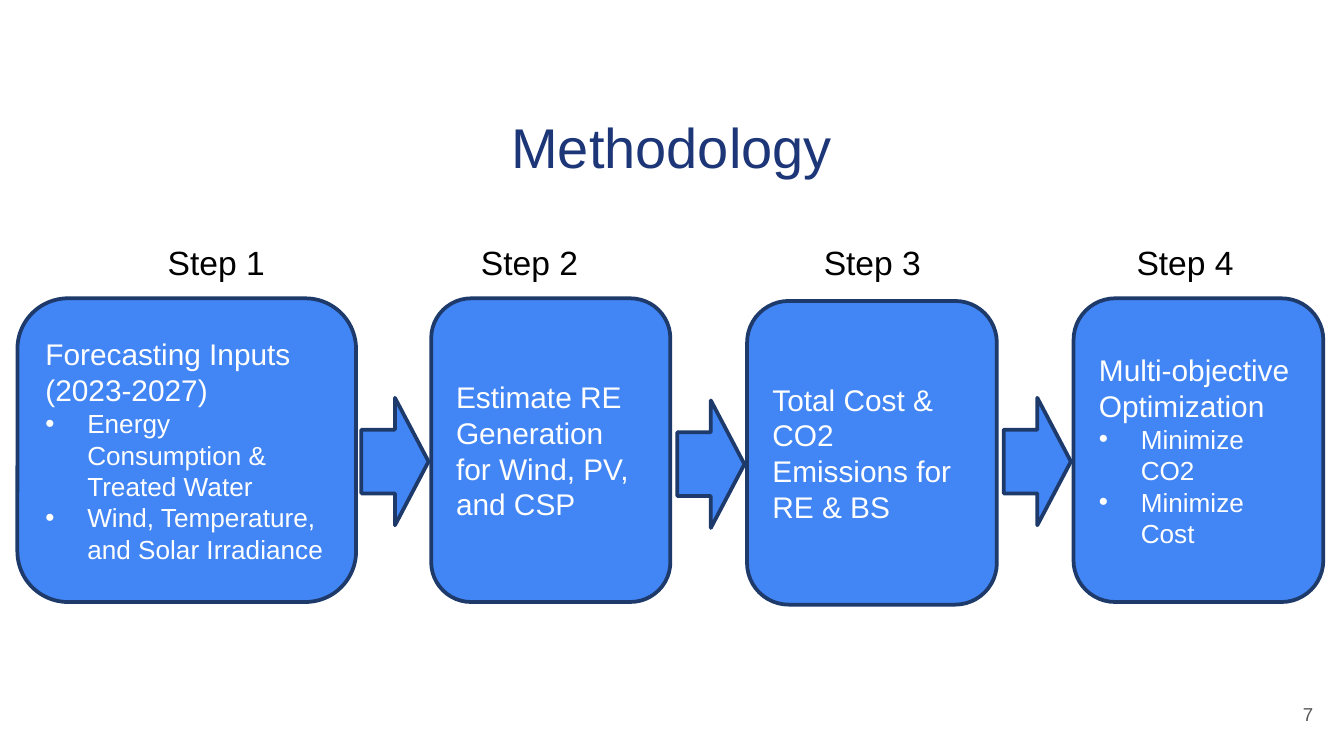
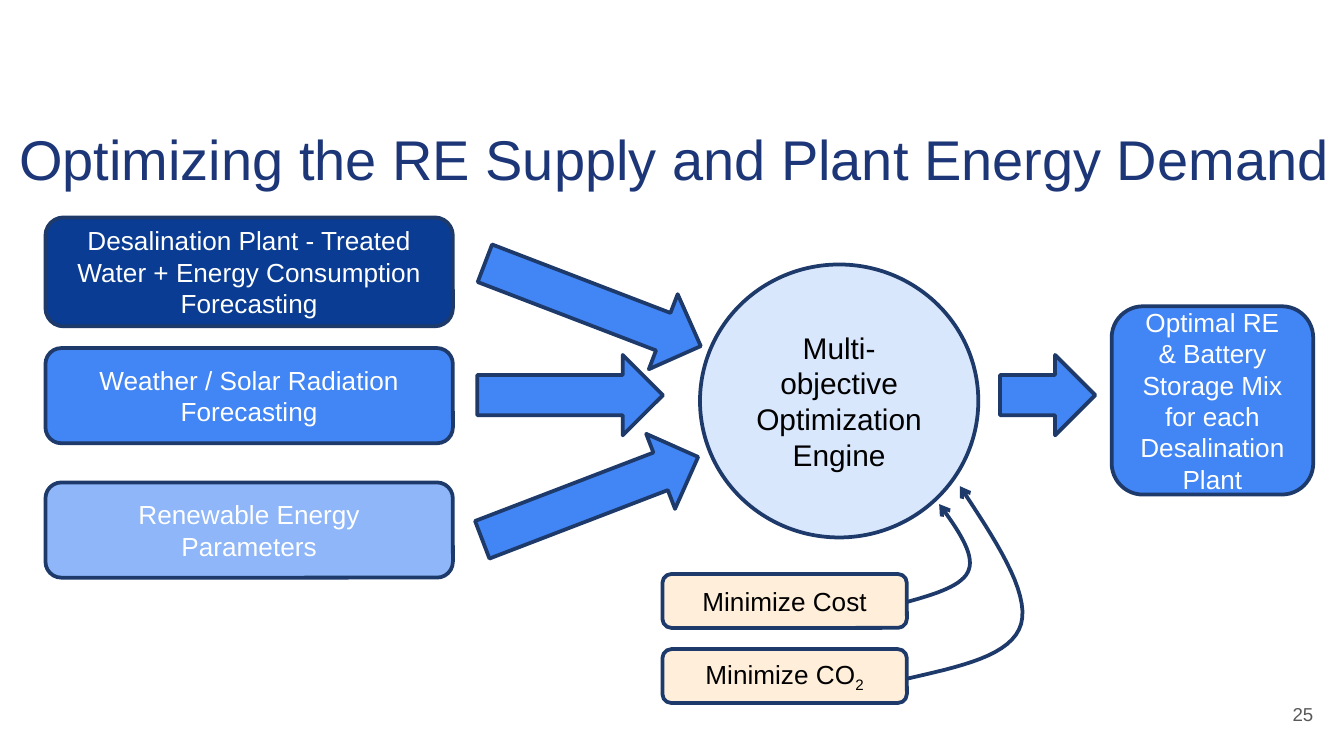
from lxml.etree import SubElement
from pptx import Presentation
from pptx.dml.color import RGBColor
from pptx.enum.shapes import MSO_SHAPE as Preset
from pptx.enum.text import MSO_ANCHOR as Anchor, PP_ALIGN as Align
from pptx.oxml.ns import qn
from pptx.util import Cm, Pt

FONT = "Arial"
BLUE, NAVY, LIGHT_BLUE = "4285F4", "093C92", "8EB6F8"
OUTLINE, TITLE_COLOR, NUMBER_COLOR = "1D3A6B", "1C3678", "595959"
PALE_BLUE, CREAM, WHITE, BLACK = "D9E7FD", "FFEED9", "FFFFFF", "000000"

# Slide 1: label, label left, box left, box top, box width, heading, bullets
STEPS = [
    ("Step 1", 2.92, 0.33, 5.64, 6.4, "Forecasting Inputs (2023-2027)",
     ["Energy Consumption & Treated Water",
      "Wind, Temperature, and Solar Irradiance"]),
    ("Step 2", 8.84, 8.15, 5.64, 4.52,
     "Estimate RE Generation for Wind, PV, and CSP", []),
    ("Step 3", 15.32, 14.12, 5.69, 4.72,
     "Total Cost & CO2 Emissions for RE & BS", []),
    ("Step 4", 21.23, 20.29, 5.64, 4.72, "Multi-objective Optimization",
     ["Minimize CO2", "Minimize Cost"]),
]
STEP_HEIGHT = 5.74

# Slide 2: lines, top, height, fill
INPUTS = [
    (["Desalination Plant - Treated Water + Energy Consumption Forecasting"],
     4.11, 2.06, NAVY),
    (["Weather / Solar Radiation", "Forecasting"], 6.58, 1.8, BLUE),
    (["Renewable Energy", "Parameters"], 9.12, 1.8, LIGHT_BLUE),
]
# left, top, width, rotation
FLOW_ARROWS = [(9.02, 5, 4.37, 21), (9.02, 6.71, 3.51, 0),
               (8.97, 8.66, 4.37, 339), (18.9, 6.71, 1.8, 0)]
# text, subscript, top, curve as a chain of cubic Bézier points
OBJECTIVES = [
    ("Minimize Cost", "", 10.85,
     [(17.14, 11.38), (17.68, 11.23), (18.21, 11.07), (18.31, 10.77),
      (18.42, 10.46), (18.08, 9.98), (17.75, 9.53)]),
    ("Minimize CO", "2", 12.27,
     [(17.14, 12.83), (18.14, 12.6), (19.13, 12.4), (19.3, 11.79),
      (19.46, 11.18), (18.8, 10.19), (18.14, 9.19)]),
]


def rgb(color):
    return RGBColor.from_string(color)


def add_bullet(paragraph, color):
    properties = paragraph._p.get_or_add_pPr()
    properties.set("marL", str(Cm(0.79)))
    properties.set("indent", str(-Cm(0.79)))
    bullet_color = SubElement(properties, qn("a:buClr"))
    SubElement(bullet_color, qn("a:srgbClr"), val=color)
    SubElement(properties, qn("a:buFont"), typeface=FONT)
    SubElement(properties, qn("a:buChar"), char="•")


def write(shape, lines, size, color, align=Align.LEFT, bullets=()):
    """Fill a shape with plain lines, then smaller bulleted ones."""
    frame = shape.text_frame
    frame.text = "\n".join([*lines, *bullets])
    for index, paragraph in enumerate(frame.paragraphs):
        bulleted = index >= len(lines)
        paragraph.alignment = align
        if bulleted:
            add_bullet(paragraph, color)
        font = paragraph.font
        font.name = FONT
        font.size = Pt(size - 2 if bulleted else size)
        font.color.rgb = rgb(color)


def style_line(shape):
    shape.shadow.inherit = False
    shape.line.color.rgb = rgb(OUTLINE)
    shape.line.width = Pt(2)


def add_preset(slide, preset, left, top, width, height, fill=BLUE):
    shape = slide.shapes.add_shape(
        preset, Cm(left), Cm(top), Cm(width), Cm(height))
    shape.fill.solid()
    shape.fill.fore_color.rgb = rgb(fill)
    style_line(shape)
    shape.text_frame.word_wrap = True
    shape.text_frame.vertical_anchor = Anchor.MIDDLE
    return shape


def add_text(slide, left, top, width, height, text, size, color,
             align=Align.LEFT, anchor=Anchor.TOP, wrap=True):
    box = slide.shapes.add_textbox(Cm(left), Cm(top), Cm(width), Cm(height))
    frame = box.text_frame
    frame.word_wrap = wrap
    frame.vertical_anchor = anchor
    if wrap:
        frame.margin_top = frame.margin_bottom = Cm(0.25)
    write(box, [text], size, color, align)


def bezier(start, control_1, control_2, end, t):
    u = 1 - t
    return tuple(
        Cm(u**3 * a + 3 * u * u * t * b + 3 * u * t * t * c + t**3 * d)
        for a, b, c, d in zip(start, control_1, control_2, end))


def add_curved_arrow(slide, points, steps=16):
    track = [bezier(*points[first:first + 4], step / steps)
             for first in range(0, len(points) - 1, 3)
             for step in range(1, steps + 1)]
    builder = slide.shapes.build_freeform(*(Cm(v) for v in points[0]))
    builder.add_line_segments(track, close=False)
    curve = builder.convert_to_shape()
    curve.fill.background()
    style_line(curve)
    SubElement(curve.line._get_or_add_ln(), qn("a:tailEnd"), type="arrow")


def add_slide(presentation, title, left, top, width, number):
    """Add a blank slide with the shared title and slide number."""
    slide = presentation.slides.add_slide(presentation.slide_layouts[6])
    add_text(slide, left, top, width, 1.6, title, 30, TITLE_COLOR,
             Align.CENTER)
    add_text(slide, 23.55, 12.95, 1.52, 1.09, number, 10, NUMBER_COLOR,
             Align.RIGHT, Anchor.MIDDLE)
    return slide


def build_methodology(presentation):
    slide = add_slide(presentation, "Methodology", 0.86, 1.88, 23.67, "7")
    for index, step in enumerate(STEPS):
        label, label_left, left, top, width, heading, bullets = step
        add_text(slide, label_left, 4.45, 2.36, 1.02, label, 18, BLACK,
                 wrap=False)
        box = add_preset(slide, Preset.ROUNDED_RECTANGLE,
                         left, top, width, STEP_HEIGHT)
        write(box, [heading], 16, WHITE, bullets=bullets)
        if index:
            add_preset(slide, Preset.RIGHT_ARROW,
                       left - 1.32, top + 1.88, 1.27, 2.41)


def build_optimization(presentation):
    slide = add_slide(presentation,
                      "Optimizing the RE Supply and Plant Energy Demand",
                      0.1, 2.11, 25.3, "25")
    for lines, top, height, fill in INPUTS:
        box = add_preset(slide, Preset.ROUNDED_RECTANGLE,
                         0.86, top, 7.7, height, fill)
        write(box, lines, 14, WHITE, Align.CENTER)

    for left, top, width, rotation in FLOW_ARROWS:
        arrow = add_preset(slide, Preset.RIGHT_ARROW, left, top, width, 1.52)
        arrow.rotation = rotation

    engine = add_preset(slide, Preset.OVAL, 13.23, 5, 5.26, 5.16, PALE_BLUE)
    write(engine, ["Multi-objective Optimization", "Engine"], 16, BLACK,
          Align.CENTER)
    result = add_preset(slide, Preset.ROUNDED_RECTANGLE,
                        21.01, 5.79, 3.81, 3.56)
    write(result,
          ["Optimal RE & Battery Storage Mix for each Desalination Plant"],
          14, WHITE, Align.CENTER)

    for text, subscript, top, curve in OBJECTIVES:
        box = add_preset(slide, Preset.ROUNDED_RECTANGLE,
                         12.52, top, 4.62, 1.02, CREAM)
        write(box, [text], 14, BLACK, Align.CENTER)
        if subscript:
            run = box.text_frame.paragraphs[0].add_run()
            run.text = subscript
            run._r.get_or_add_rPr().set("baseline", "-25000")
        add_curved_arrow(slide, curve)


def main():
    presentation = Presentation()
    presentation.slide_width = Cm(25.4)
    presentation.slide_height = Cm(14.29)
    build_methodology(presentation)
    build_optimization(presentation)
    presentation.save("out.pptx")


if __name__ == "__main__":
    main()
